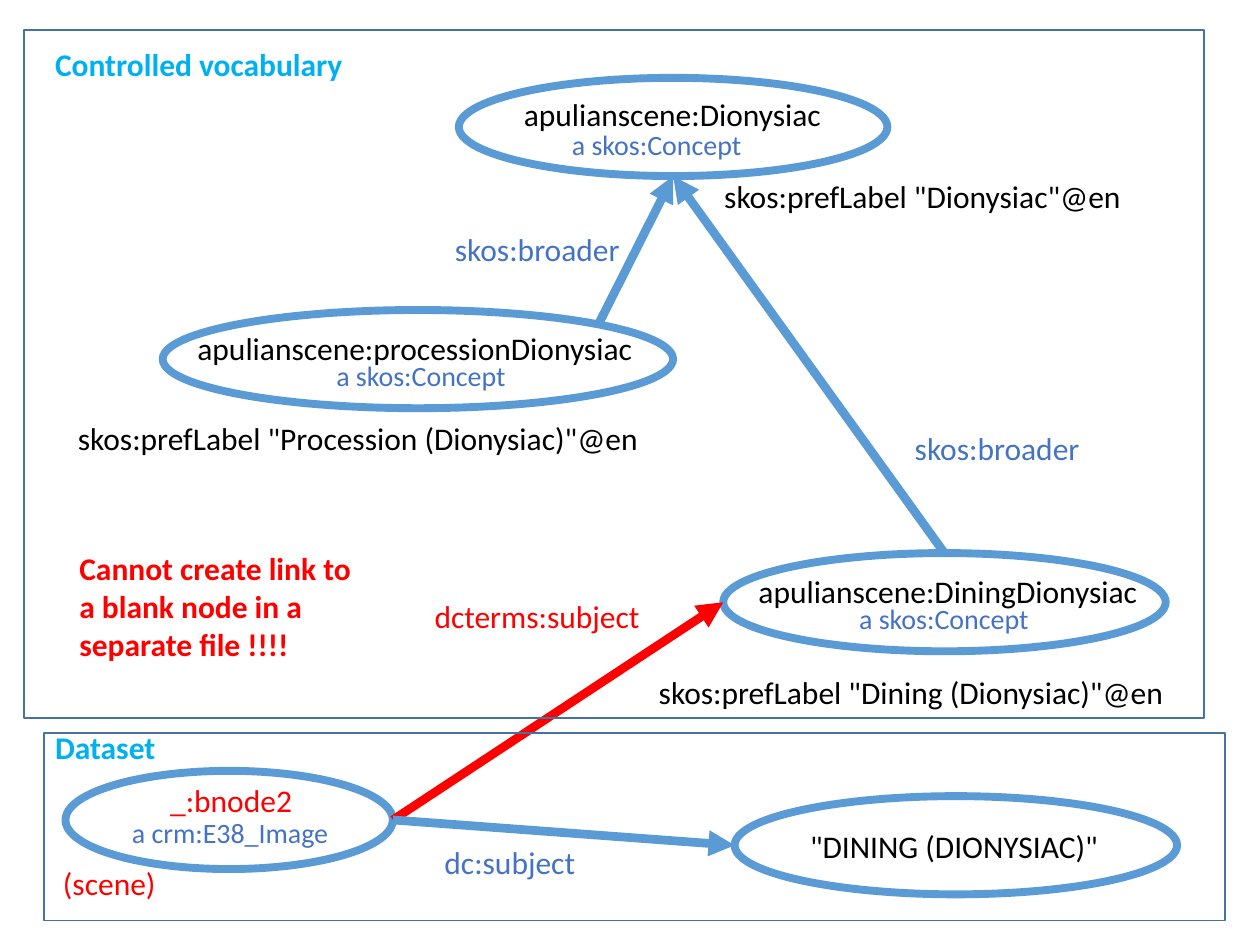
import math
from dataclasses import dataclass

import pptx
import pptx.dml.color
import pptx.enum.shapes
import pptx.enum.text
import pptx.oxml
import pptx.oxml.ns
import pptx.util

Cm = pptx.util.Cm
COLORS = {
    "outline": "5B9BD5",
    "frame": "43739E",
    "property": "4472C4",
    "alert": "FF0000",
    "name": "000000",
    "heading": "00B0F0",
}
NODE_HEIGHT = 1.98
CONCEPT = "a skos:Concept"


@dataclass(frozen=True)
class Node:
    left: float
    top: float
    width: float
    height: float = NODE_HEIGHT

    def rim(self, degrees: float) -> tuple[float, float]:
        angle = math.radians(degrees)
        return (
            self.left + self.width / 2 * (1 + math.cos(angle)),
            self.top + self.height / 2 * (1 - math.sin(angle)),
        )


@dataclass(frozen=True)
class Arrow:
    start: tuple[float, float]
    end: tuple[float, float]
    color: str = "outline"


@dataclass(frozen=True)
class Label:
    text: str
    left: float
    top: float
    width: float
    color: str = "name"
    size: int = 18
    bold: bool = False
    wrap: bool = False
    height: float = 1.02


DIONYSIAC = Node(9.25, 1.57, 8.64)
PROCESSION = Node(3.28, 6.25, 10.29)
DINING = Node(14.58, 11.15, 8.92)
IMAGE = Node(1.32, 15.54, 6.6)
LITERAL = Node(14.81, 16.05, 8.92)
NODES = [DIONYSIAC, PROCESSION, DINING, IMAGE, LITERAL]

FRAMES = [Node(0.48, 0.61, 23.8, 13.87), Node(0.89, 14.78, 23.8, 3.78)]

ARROWS = [
    Arrow(IMAGE.rim(0), DINING.rim(180), "alert"),
    Arrow(DINING.rim(90), DIONYSIAC.rim(270)),
    Arrow(PROCESSION.rim(45), DIONYSIAC.rim(270)),
    Arrow(IMAGE.rim(0), LITERAL.rim(180)),
]

LABELS = [
    Label("Controlled vocabulary", 0.86, 0.79, 7.06, "heading", bold=True, wrap=True),
    Label("apulianscene:Dionysiac", 10.31, 1.8, 6.58),
    Label(CONCEPT, 11.28, 2.44, 3.96, "property", 16),
    Label('skos:prefLabel "Dionysiac"@en', 14.35, 3.45, 8.61),
    Label("skos:broader", 8.92, 4.52, 3.86, "property"),
    Label("apulianscene:processionDionysiac", 3.73, 6.5, 9.37),
    Label(CONCEPT, 6.53, 7.11, 3.96, "property", 16),
    Label('skos:prefLabel "Procession (Dionysiac)"@en', 1.32, 8.33, 12.04, wrap=True),
    Label("skos:broader", 18.19, 8.53, 3.86, "property"),
    Label("Cannot create link to a blank node in a separate file !!!!",
          1.35, 10.95, 6.12, "alert", bold=True, wrap=True, height=2.57),
    Label("dcterms:subject", 8.51, 11.91, 4.7, "alert"),
    Label("apulianscene:DiningDionysiac", 15.04, 11.4, 8.26),
    Label(CONCEPT, 17.07, 12.01, 3.96, "property", 16),
    Label('skos:prefLabel "Dining (Dionysiac)"@en', 13.03, 13.44, 11.23, wrap=True),
    Label("Dataset", 0.86, 14.55, 7.06, "heading", bold=True, wrap=True),
    Label("_:bnode2", 3.18, 15.62, 3, "alert"),
    Label("a crm:E38_Image", 2.41, 16.31, 4.52, "property", 16),
    Label("(scene)", 1.02, 17.3, 2.41, "alert"),
    Label("dc:subject", 8.71, 16.87, 3.18, "property"),
    Label('"DINING (DIONYSIAC)"', 16.08, 16.54, 6.38),
]


def rgb(name: str) -> pptx.dml.color.RGBColor:
    return pptx.dml.color.RGBColor.from_string(COLORS[name])


def write(box, text: str, *, color: str, size: int, bold: bool, wrap: bool) -> None:
    frame = box.text_frame
    frame.word_wrap = wrap
    frame.auto_size = pptx.enum.text.MSO_AUTO_SIZE.SHAPE_TO_FIT_TEXT
    span = frame.paragraphs[0].add_run()
    span.text = text
    span.font.name = "Calibri"
    span.font.size = pptx.util.Pt(size)
    span.font.bold = bold
    span.font.color.rgb = rgb(color)


def draw_outline(page, kind, node: Node, color: str, weight: float) -> None:
    shape = page.shapes.add_shape(
        kind, Cm(node.left), Cm(node.top), Cm(node.width), Cm(node.height))
    shape.shadow.inherit = False
    shape.fill.background()
    shape.line.color.rgb = rgb(color)
    shape.line.width = pptx.util.Pt(weight)


def draw_arrow(page, arrow: Arrow) -> None:
    connector = page.shapes.add_connector(
        pptx.enum.shapes.MSO_CONNECTOR.STRAIGHT,
        *(Cm(value) for value in arrow.start + arrow.end))
    connector.line.color.rgb = rgb(arrow.color)
    connector.line.width = pptx.util.Pt(5)
    properties = connector._element.spPr
    line = properties.find(pptx.oxml.ns.qn("a:ln"))
    head = pptx.oxml.parse_xml(f'<a:tailEnd {pptx.oxml.ns.nsdecls("a")} type="triangle"/>')
    line.append(head)
    properties.append(pptx.oxml.parse_xml(f'<a:effectLst {pptx.oxml.ns.nsdecls("a")}/>'))


def draw_label(page, label: Label) -> None:
    box = page.shapes.add_textbox(
        Cm(label.left), Cm(label.top), Cm(label.width), Cm(label.height))
    write(box, label.text, color=label.color, size=label.size,
          bold=label.bold, wrap=label.wrap)


def main() -> None:
    deck = pptx.Presentation()
    deck.slide_width, deck.slide_height = Cm(25.4), Cm(19.05)
    page = deck.slides.add_slide(deck.slide_layouts[6])
    kinds = pptx.enum.shapes.MSO_SHAPE
    for node in NODES:
        draw_outline(page, kinds.OVAL, node, "outline", 4.5)
    for arrow in ARROWS:
        draw_arrow(page, arrow)
    for frame in FRAMES:
        draw_outline(page, kinds.RECTANGLE, frame, "frame", 1)
    for label in LABELS:
        draw_label(page, label)
    deck.save("out.pptx")


if __name__ == "__main__":
    main()
